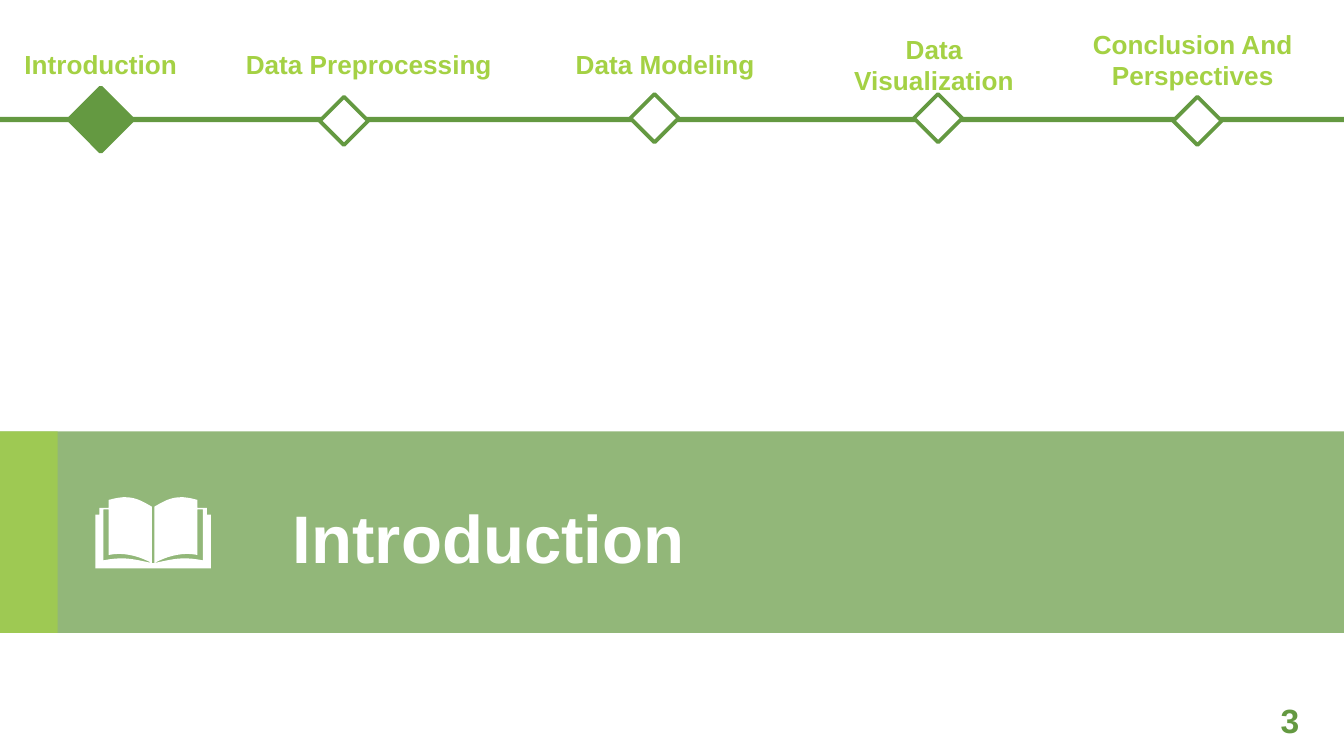
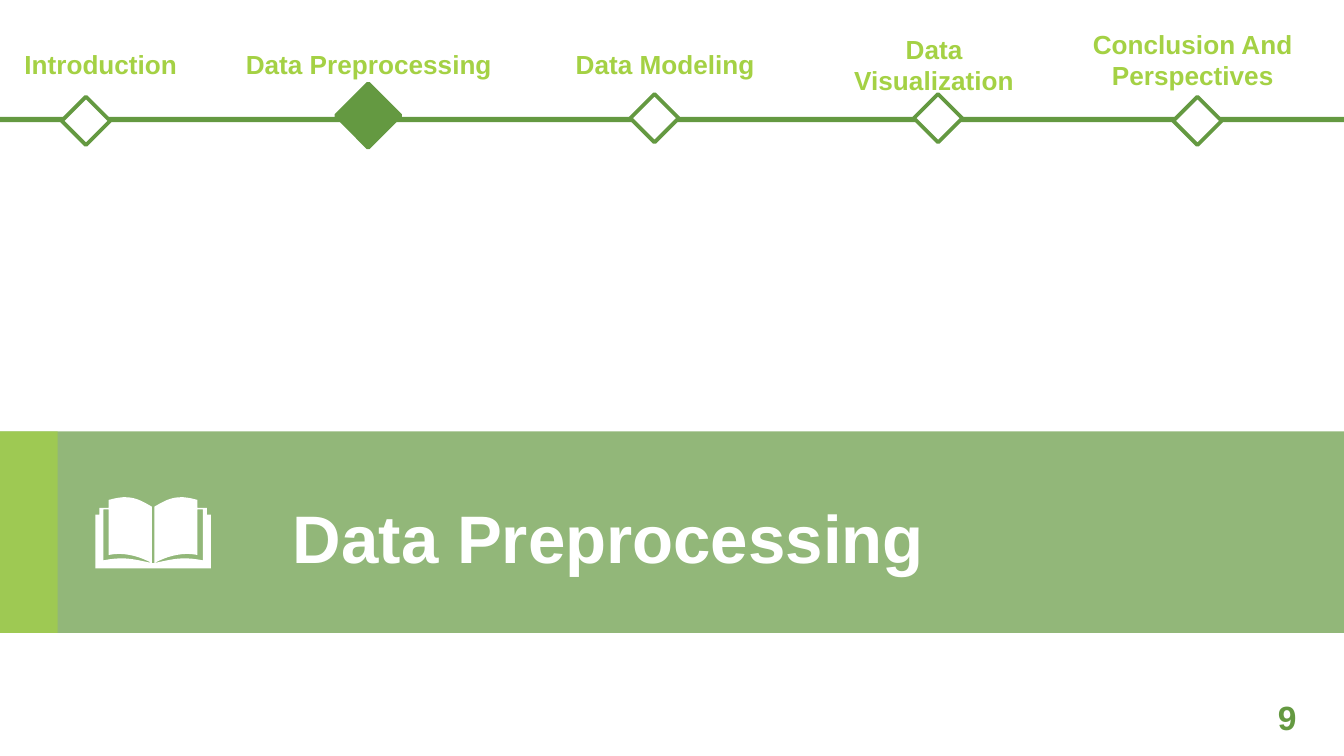
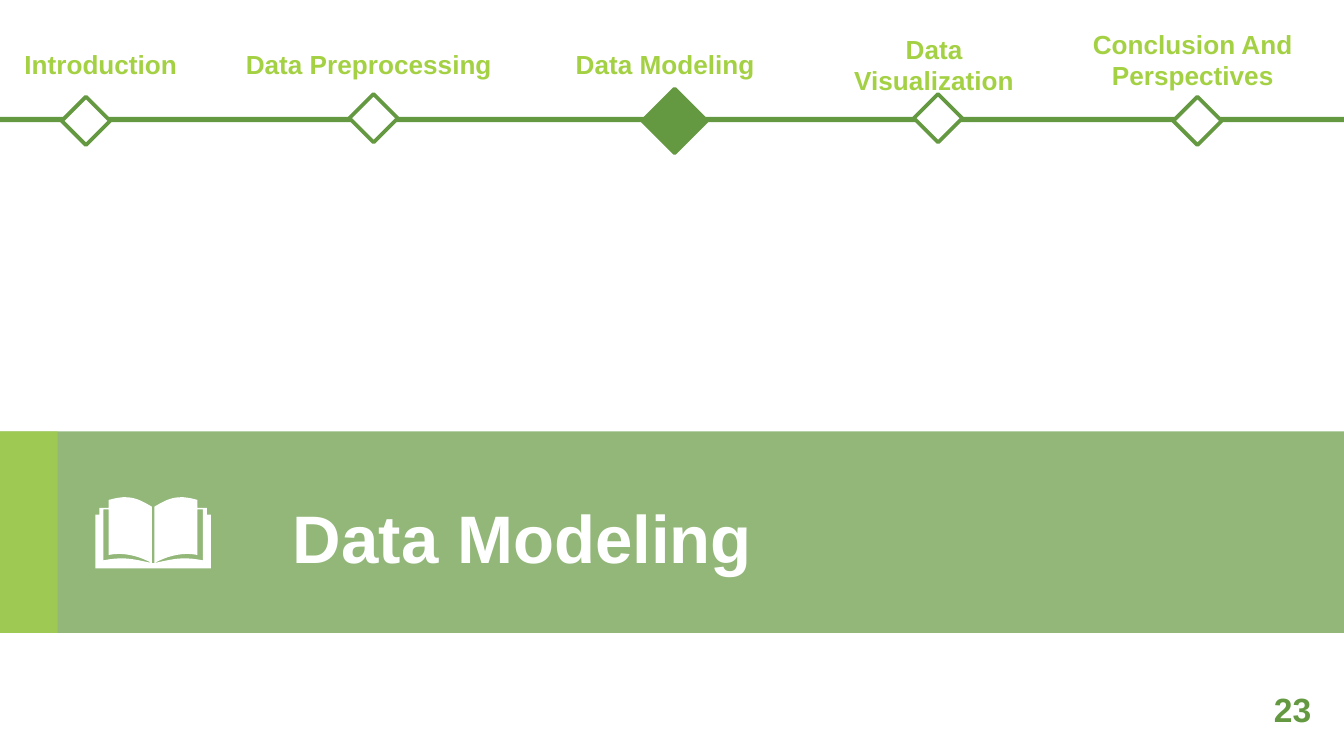
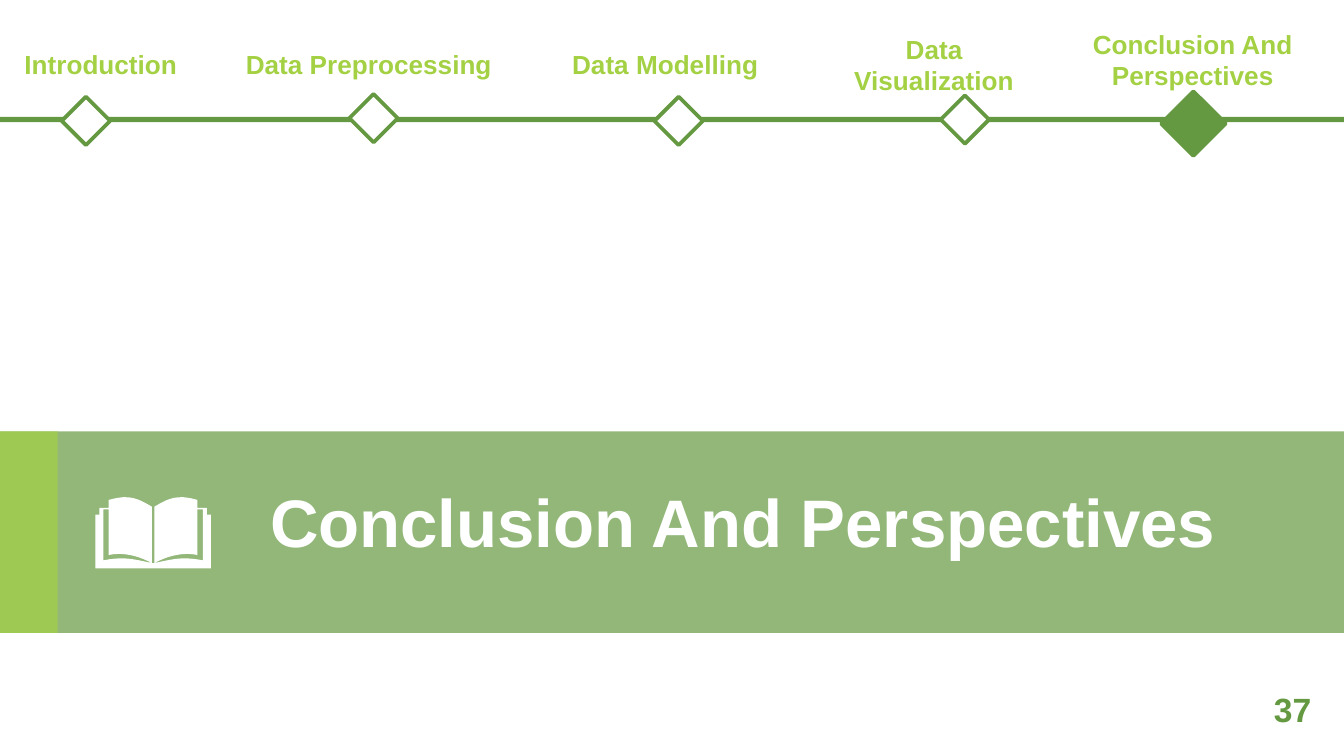
import pptx
import pptx.dml.color
import pptx.enum.shapes
import pptx.enum.text
import pptx.util
from lxml import etree
from pptx.util import Inches

GREEN, LIME, WHITE = "649941", "A4D144", "FFFFFF"
FONT = "Arial"
SHAPE = pptx.enum.shapes.MSO_SHAPE
ALIGN = pptx.enum.text.PP_ALIGN
ANCHOR = pptx.enum.text.MSO_ANCHOR

# Boxes are left, top, width, height in inches.
SLIDE_WIDTH = 10
SLIDE_HEIGHT = SLIDE_WIDTH * 9 / 16
BAND_BOX = (0, 3.21, SLIDE_WIDTH, 1.5)
TIMELINE_BOX = (0, 0.87, SLIDE_WIDTH, 0.04)
TITLE_BOX = (2.08, 0.13, 7.01, 1.24)  # within the band
ICON_BOX = (0.71, 0.49, 0.86, 0.53)  # within the band
STOP_SIZE, CURRENT_SIZE = 0.36, 0.48

# Label boxes are relative to the timeline.
LABELS = [
    ("Introduction", (-0.41, -0.56, 2.32, 0.34)),
    ("Data Preprocessing", (1.33, -0.56, 2.83, 0.34)),
    ("Data Modeling", (3.93, -0.56, 2.04, 0.34)),
    ("Data Visualization", (6.02, -0.56, 1.86, 0.34)),
    ("Conclusion And Perspectives", (7.89, -0.71, 1.97, 0.57)),
]
# Centres of the diamonds, relative to the timeline.
STOPS = [(0.64, 0.03), (2.78, 0.01), (4.87, 0.01), (6.98, 0.01), (8.91, 0.03)]

SECTIONS = [
    {"title": "Introduction", "current": 0, "page": "3",
     "page_box": (9.43, 5.16, 0.53, 0.4),
     "moved_stops": {0: (0.75, 0.02), 1: (2.56, 0.03)}},
    {"title": "Data Preprocessing", "current": 1, "page": "9",
     "page_box": (9.41, 5.14, 0.4, 0.4),
     "moved_stops": {1: (2.74, -0.01)}},
    {"title": "Data Modeling", "current": 2, "page": "23",
     "page_box": (9.38, 5.08, 0.62, 0.4),
     "moved_stops": {2: (5.02, 0.03)}},
    {"title": "Conclusion And Perspectives", "current": 4, "page": "37",
     "page_box": (9.38, 5.08, 0.62, 0.4),
     "title_box": (1.91, 0.03, 7.87, 1.21),
     "moved_stops": {2: (5.05, 0.03), 3: (7.18, 0.02), 4: (8.88, 0.05)},
     "renamed_labels": {2: "Data Modelling"}},
]

# Right half of the book, measured from the top of its spine:
# one point is a line, three points are a Bézier curve.
BOOK_START = (0.01, 0.49)
BOOK_SEGMENTS = [
    [(0.15, 0.46), (0.22, 0.44), (0.37, 0.47)],
    [(0.37, 0.09)], [(0.33, 0.09)], [(0.33, 0.43)],
    [(0.23, 0.41), (0.12, 0.43), (0.01, 0.49)],
    [(0.01, 0.07)],
    [(0.08, 0.03), (0.13, 0), (0.21, 0)],
    [(0.25, 0), (0.29, 0.01), (0.33, 0.02)],
    [(0.33, 0.08)], [(0.40, 0.08)], [(0.40, 0.13)], [(0.43, 0.13)],
    [(0.43, 0.53)],
]


def color(hex_string):
    return pptx.dml.color.RGBColor.from_string(hex_string)


def within(outer, box):
    """Turn a box relative to outer into a box on the slide."""
    return (outer[0] + box[0], outer[1] + box[1], box[2], box[3])


def paint(shape, fill, line=None, opacity=None):
    shape.shadow.inherit = False
    shape.fill.solid()
    shape.fill.fore_color.rgb = color(fill)
    if opacity is not None:
        value = shape.element.spPr.find(".//" + pptx.oxml.ns.qn("a:srgbClr"))
        alpha = etree.SubElement(value, pptx.oxml.ns.qn("a:alpha"))
        alpha.set("val", str(opacity * 1000))
    if line:
        shape.line.color.rgb = color(line)
        shape.line.width = pptx.util.Pt(2)
    else:
        shape.line.fill.background()


def add_box(slide, kind, box, fill, line=None, opacity=None):
    shape = slide.shapes.add_shape(kind, *map(Inches, box))
    paint(shape, fill, line, opacity)
    return shape


def write(shape, text, size, text_color, align=ALIGN.LEFT, anchor=ANCHOR.MIDDLE):
    frame = shape.text_frame
    frame.word_wrap = True
    frame.auto_size = pptx.enum.text.MSO_AUTO_SIZE.NONE
    frame.vertical_anchor = anchor
    frame.text = text
    paragraph = frame.paragraphs[0]
    paragraph.alignment = align
    paragraph.font.name = FONT
    paragraph.font.size = pptx.util.Pt(size)
    paragraph.font.bold = True
    paragraph.font.color.rgb = color(text_color)
    return paragraph


def add_text(slide, box, *text_format):
    write(slide.shapes.add_textbox(*map(Inches, box)), *text_format)


def bezier(start, first, second, end, steps=10):
    """Points along a cubic curve, without its start."""
    points = []
    for step in range(1, steps + 1):
        t = step / steps
        weights = ((1 - t) ** 3, 3 * t * (1 - t) ** 2, 3 * t * t * (1 - t), t ** 3)
        points.append(tuple(
            sum(weight * point[axis] for weight, point
                in zip(weights, (start, first, second, end)))
            for axis in (0, 1)))
    return points


def add_book(slide, box):
    left, top, width, _ = box
    half = [BOOK_START]
    for segment in BOOK_SEGMENTS:
        half += bezier(half[-1], *segment) if len(segment) == 3 else segment
    outline = half + [(-x, y) for x, y in reversed(half)]
    spine = left + width / 2
    points = [(Inches(spine + x), Inches(top + y)) for x, y in outline]
    builder = slide.shapes.build_freeform(*points[0])
    builder.add_line_segments(points[1:], close=True)
    paint(builder.convert_to_shape(), WHITE)


def add_title_band(slide, box, title, title_box):
    left, top, _, height = box
    add_box(slide, SHAPE.RECTANGLE, box, GREEN, opacity=70)
    accent = add_box(slide, SHAPE.RECTANGLE, (left, top, 0.43, height), LIME, opacity=70)
    placeholder = slide.shapes.title
    accent.element.addnext(placeholder.element)  # bring the title above the band
    placeholder.left, placeholder.top, placeholder.width, placeholder.height = map(
        Inches, within(box, title_box))
    write(placeholder, title, 36, WHITE).line_spacing = 1.1
    add_book(slide, within(box, ICON_BOX))


def add_timeline(slide, box, current, moved_stops, renamed_labels):
    add_box(slide, SHAPE.RECTANGLE, box, GREEN)
    for index, (label, label_box) in enumerate(LABELS):
        add_text(slide, within(box, label_box), renamed_labels.get(index, label),
                 14, LIME, ALIGN.CENTER)
    for index, stop in enumerate(STOPS):
        x, y = moved_stops.get(index, stop)
        is_current = index == current
        size = CURRENT_SIZE if is_current else STOP_SIZE
        diamond_box = within(box, (x - size / 2, y - size / 2, size, size))
        add_box(slide, SHAPE.DIAMOND, diamond_box, GREEN if is_current else WHITE, GREEN)


def add_section_slide(presentation, section):
    slide = presentation.slides.add_slide(presentation.slide_layouts[5])
    add_title_band(slide, BAND_BOX, section["title"], section.get("title_box", TITLE_BOX))
    add_timeline(slide, TIMELINE_BOX, section["current"], section["moved_stops"],
                 section.get("renamed_labels", {}))
    add_text(slide, section["page_box"], section["page"], 18, GREEN,
             ALIGN.LEFT, ANCHOR.TOP)


def main():
    presentation = pptx.Presentation()
    presentation.slide_width = Inches(SLIDE_WIDTH)
    presentation.slide_height = Inches(SLIDE_HEIGHT)
    for section in SECTIONS:
        add_section_slide(presentation, section)
    presentation.save("out.pptx")


if __name__ == "__main__":
    main()
